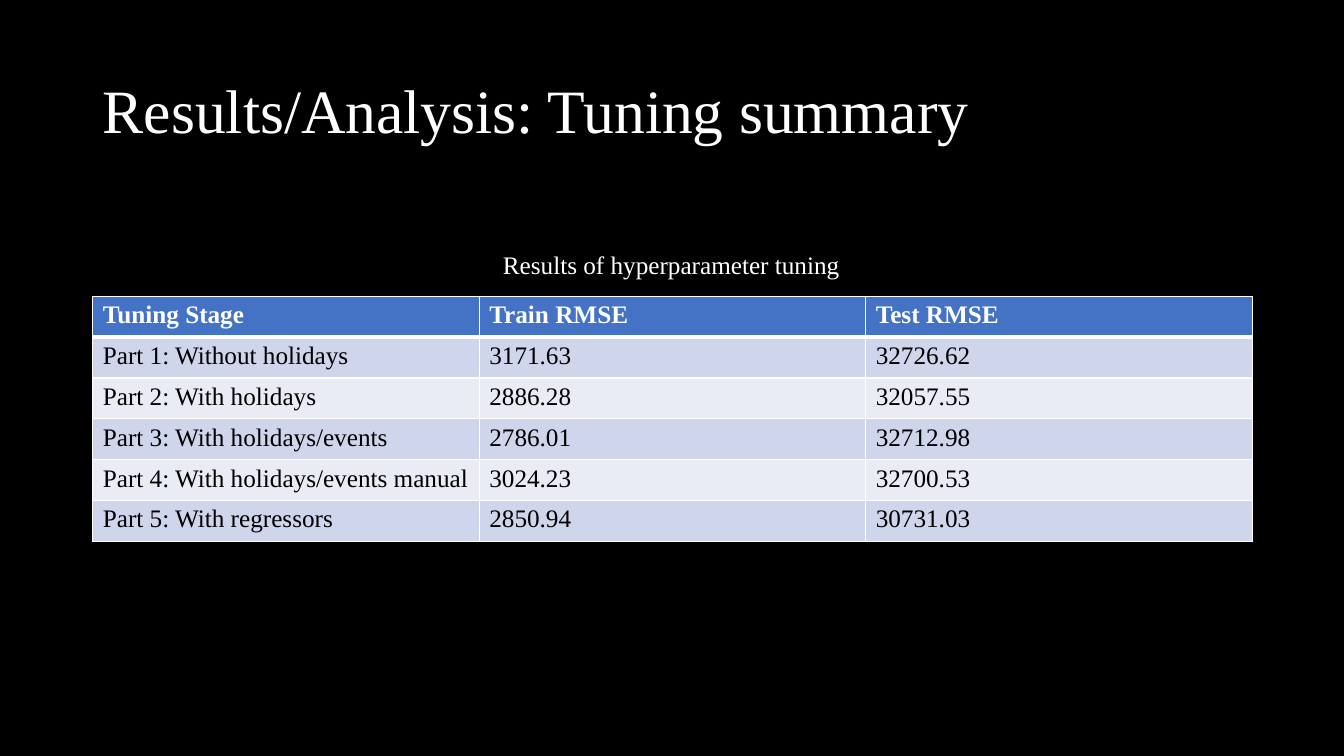
"""Build the slide that sums up the hyperparameter tuning results."""
from dataclasses import dataclass

from lxml import etree
from pptx import Presentation
from pptx.dml.color import RGBColor
from pptx.enum.text import MSO_ANCHOR, MSO_AUTO_SIZE, PP_ALIGN
from pptx.oxml.ns import qn
from pptx.util import Inches, Pt

LEFT = PP_ALIGN.LEFT
MIDDLE = MSO_ANCHOR.MIDDLE
NO_FIT = MSO_AUTO_SIZE.NONE
GROW = MSO_AUTO_SIZE.SHAPE_TO_FIT_TEXT
TITLE_ONLY = 5

RESULTS = [
    ("Tuning Stage", "Train RMSE", "Test RMSE"),
    ("Part 1: Without holidays", "3171.63", "32726.62"),
    ("Part 2: With holidays", "2886.28", "32057.55"),
    ("Part 3: With holidays/events", "2786.01", "32712.98"),
    ("Part 4: With holidays/events manual", "3024.23", "32700.53"),
    ("Part 5: With regressors", "2850.94", "30731.03"),
]


@dataclass(frozen=True)
class Theme:
    """Colours, font and type sizes of the slide."""
    background: str = "000000"
    light: str = "FFFFFF"
    dark: str = "000000"
    header: str = "4472C4"
    bands: tuple = ("CFD5EA", "E9EBF5")
    font: str = "Times New Roman"
    title_size: int = 44
    body_size: int = 18
    thin: int = 1
    thick: int = 3


def write_text(frame, text, *, font, size, color, bold=False, spacing=None):
    """Put one formatted, left-aligned paragraph into a text frame."""
    para = frame.paragraphs[0]
    para.alignment = LEFT
    if spacing:
        para.line_spacing = spacing
    span = para.add_run()
    span.text = text
    span.font.name = font
    span.font.size = Pt(size)
    span.font.bold = bold
    span.font.color.rgb = RGBColor.from_string(color)


def paint(target, color):
    """Give a cell or background a solid fill."""
    target.fill.solid()
    target.fill.fore_color.rgb = RGBColor.from_string(color)


def draw_borders(cell, color, widths):
    """Line a cell's sides, with widths in points keyed by side letter."""
    properties = cell._tc.get_or_add_tcPr()
    for side, width in widths.items():
        line = etree.SubElement(properties, qn(f"a:ln{side}"), w=str(Pt(width)))
        fill = etree.SubElement(line, qn("a:solidFill"))
        etree.SubElement(fill, qn("a:srgbClr"), val=color)


class SlideBuilder:
    """Holds the theme and the current page, and adds elements to it."""

    def __init__(self, deck, theme):
        self.theme = theme
        self.page = deck.slides.add_slide(deck.slide_layouts[TITLE_ONLY])
        paint(self.page.background, theme.background)

    def title(self, text, left, top, width, height):
        """Place and fill the title placeholder."""
        box = self.page.shapes.title
        box.left, box.top = Inches(left), Inches(top)
        box.width, box.height = Inches(width), Inches(height)
        frame = box.text_frame
        frame.vertical_anchor = MIDDLE
        frame.auto_size = NO_FIT
        write_text(frame, text, font=self.theme.font, size=self.theme.title_size,
                   color=self.theme.light, spacing=0.9)

    def caption(self, text, left, top, width, height):
        """Add a text box in body size."""
        box = self.page.shapes.add_textbox(
            Inches(left), Inches(top), Inches(width), Inches(height))
        frame = box.text_frame
        frame.word_wrap = True
        frame.auto_size = GROW
        write_text(frame, text, font=self.theme.font, size=self.theme.body_size,
                   color=self.theme.light)

    def table(self, rows, left, top, width, height):
        """Add a banded table whose first row is the header."""
        theme = self.theme
        grid = self.page.shapes.add_table(
            len(rows), len(rows[0]),
            Inches(left), Inches(top), Inches(width), Inches(height)).table
        for row, values in enumerate(rows):
            is_header = row == 0
            below = theme.thick if is_header else theme.thin
            above = theme.thick if row == 1 else theme.thin
            widths = {"L": theme.thin, "R": theme.thin, "T": above, "B": below}
            band = theme.bands[(row - 1) % len(theme.bands)]
            for column, value in enumerate(values):
                cell = grid.cell(row, column)
                draw_borders(cell, theme.light, widths)
                paint(cell, theme.header if is_header else band)
                write_text(cell.text_frame, value, font=theme.font,
                           size=theme.body_size, bold=is_header,
                           color=theme.light if is_header else theme.dark)


def main():
    """Build and save the deck."""
    deck = Presentation()
    deck.slide_width, deck.slide_height = Inches(13.33), Inches(7.5)
    builder = SlideBuilder(deck, Theme())
    builder.title("Results/Analysis: Tuning summary", 0.92, 0.4, 11.5, 1.45)
    builder.table(RESULTS, 0.92, 2.94, 11.5, 2.43)
    builder.caption("Results of hyperparameter tuning", 4.89, 2.42, 4.5, 0.4)
    deck.save("out.pptx")


if __name__ == "__main__":
    main()
